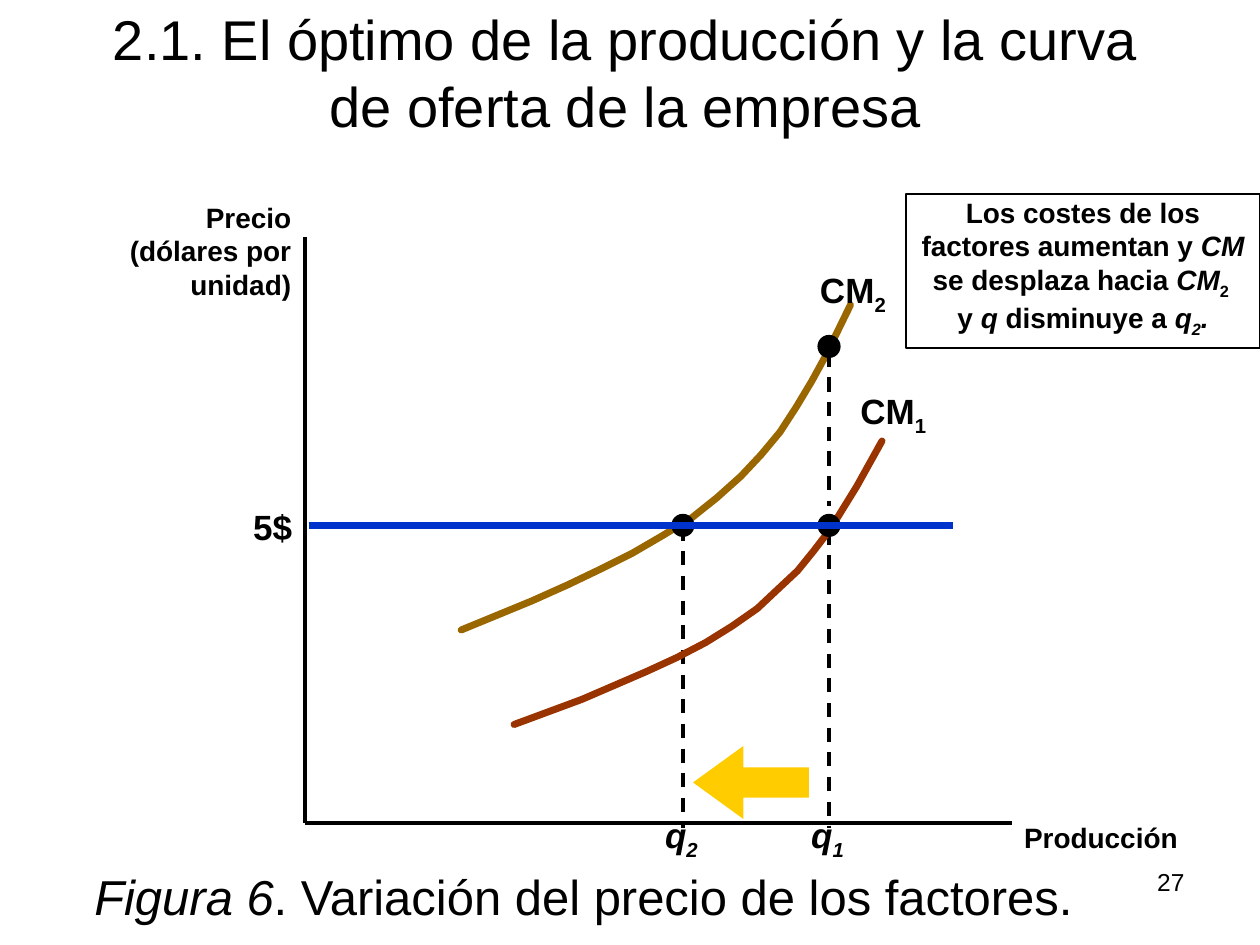
import pptx
import pptx.util
import pptx.dml.color
import pptx.enum.dml
import pptx.enum.shapes
import pptx.enum.text
import pptx.oxml.ns
import lxml.etree

COLORS = {"ink": "000000", "old_cost": "993300", "new_cost": "996600",
          "price": "0033CC", "arrow": "FFCC00"}
FONT = "Arial"
ALIGN = pptx.enum.text.PP_ALIGN
ANCHOR = pptx.enum.text.MSO_ANCHOR
SHAPES = pptx.enum.shapes.MSO_SHAPE

# The page is a grid of 100 columns and 75 rows
WIDTH, HEIGHT = pptx.util.Inches(10), pptx.util.Inches(7.5)
COLUMN, ROW = WIDTH / 100, HEIGHT / 75


def point(box, x, y):
    """Grid position x, y counted from the corner of a region."""
    return round((box[0] + x) * COLUMN), round((box[1] + y) * ROW)


def frame(box, x, y, width, height):
    return (*point(box, x, y), round(width * COLUMN), round(height * ROW))


def color(name):
    return pptx.dml.color.RGBColor.from_string(COLORS[name])


def style_line(line, name, points):
    line.color.rgb = color(name)
    line.width = pptx.util.Pt(points)


def write(shape, paragraphs, size, align=ALIGN.LEFT, bold=False,
          margins=(1, 0.5, 1, 0.5), wrap=True, grow=False):
    """Fill a shape with paragraphs of (text, style); i is italic, s subscript."""
    text = shape.text_frame
    text.word_wrap = wrap
    sizes = pptx.enum.text.MSO_AUTO_SIZE
    text.auto_size = sizes.SHAPE_TO_FIT_TEXT if grow else sizes.NONE
    text.vertical_anchor = ANCHOR.TOP
    text.margin_left, text.margin_right = (round(m * COLUMN) for m in margins[::2])
    text.margin_top, text.margin_bottom = (round(m * ROW) for m in margins[1::2])
    for index, pieces in enumerate(paragraphs):
        para = text.add_paragraph() if index else text.paragraphs[0]
        para.alignment = align
        for words, style in pieces:
            span = para.add_run()
            span.text = words
            span.font.name = FONT
            span.font.size = pptx.util.Pt(size)
            span.font.bold = bold
            span.font.italic = "i" in style
            span.font.color.rgb = color("ink")
            if "s" in style:
                span._r.get_or_add_rPr().set("baseline", "-25000")


def add_label(page, box, place, paragraphs, size, align=ALIGN.LEFT):
    label = page.shapes.add_textbox(*frame(box, *place))
    write(label, paragraphs, size, align, bold=True, wrap=False, grow=True)


def add_line(page, box, start, end, name="ink", points=2, dashed=False):
    line = page.shapes.add_connector(
        pptx.enum.shapes.MSO_CONNECTOR.STRAIGHT, *point(box, *start), *point(box, *end))
    style_line(line.line, name, points)
    if dashed:
        line.line.dash_style = pptx.enum.dml.MSO_LINE.DASH
    lxml.etree.SubElement(line._element.spPr, pptx.oxml.ns.qn("a:effectLst"))


def add_outline(page, box, points, closed):
    corners = [point(box, *spot) for spot in points]
    builder = page.shapes.build_freeform(*corners[0])
    builder.add_line_segments(corners[1:], close=closed)
    outline = builder.convert_to_shape()
    outline.shadow.inherit = False
    return outline


def add_curve(page, box, points, name):
    curve = add_outline(page, box, points, closed=False)
    curve.fill.background()
    style_line(curve.line, name, 4)
    stroke = curve.line._get_or_add_ln()
    stroke.set("cap", "rnd")
    lxml.etree.SubElement(stroke, pptx.oxml.ns.qn("a:round"))


def add_dot(page, box, x, y, size=1.7):
    dot = page.shapes.add_shape(
        SHAPES.OVAL, *frame(box, x - size / 2, y - size / 2, size, size))
    dot.shadow.inherit = False
    dot.fill.solid()
    dot.fill.fore_color.rgb = color("ink")
    style_line(dot.line, "ink", 1)


def add_title(page, box):
    title = page.shapes.title
    title.left, title.top, title.width, title.height = frame(box, 0, 0, *box[2:])
    heading = "2.1. El óptimo de la producción y la curva de oferta de la empresa"
    write(title, [[(heading, "")]], 32, ALIGN.CENTER)
    title.text_frame.vertical_anchor = ANCHOR.BOTTOM


def add_graph(page, box):
    width, height = box[2:]
    q2, q1, price, high = 30, 41.6, 22.9, 8.7
    new_cost = [(12.4, 31.2), (18, 28.9), (20.9, 27.6), (23.4, 26.4), (26, 25.1),
                (28.4, 23.7), (30.7, 22.3), (32.7, 20.7), (34.6, 19), (36.2, 17.3),
                (37.7, 15.5), (39, 13.5), (40.2, 11.5), (41.3, 9.5), (43.3, 5.4)]
    old_cost = [(16.6, 38.7), (22, 36.7), (27.1, 34.5), (29.5, 33.4), (31.8, 32.2),
                (33.9, 30.9), (35.9, 29.5), (37.5, 28), (39.1, 26.5), (40.4, 24.9),
                (41.7, 23.2), (43.8, 19.8), (45.8, 16.2)]

    # Drop lines, cost curves and their crossings
    add_curve(page, box, new_cost, "new_cost")
    for x, top, bottom in ((q2, 23, 46.9), (q1, 9.2, 21.4), (q1, 23.3, 46.9)):
        add_line(page, box, (x, top), (x, bottom), dashed=True)
    add_curve(page, box, old_cost, "old_cost")
    for x, y in ((q2, price), (q1, high), (q1, price)):
        add_dot(page, box, x, y)

    # Arrow from the first quantity to the second
    arrow = add_outline(page, box, [
        (34.8, 40.4), (34.8, 42.1), (40, 42.1), (40, 44.5),
        (34.8, 44.5), (34.8, 46.2), (30.8, 43.3)], closed=True)
    arrow.fill.solid()
    arrow.fill.fore_color.rgb = color("arrow")
    arrow.line.fill.background()

    # Axes and price line
    add_line(page, box, (0, 0), (0, height))
    add_line(page, box, (0, height), (width, height))
    add_line(page, box, (0.3, price), (51.4, price), "price", 4)

    # Labels of curves, quantities and axes
    for x, y, number in ((39.9, 2, "2"), (43.1, 11.6, "1")):
        add_label(page, box, (x, y, 7.3, 4.3), [[("CM", ""), (number, "s")]], 20)
    for x, number in ((q2, "2"), (q1, "1")):
        add_label(page, box, (x - 2.4, 45.3, 4.7, 4.3), [[("q", "i"), (number, "is")]], 20)
    add_label(page, box, (-5.1, 20.8, 5.1, 4.3), [[("5$", "")]], 20)
    add_label(page, box, (-14.9, -3.4, 14.8, 9),
              [[("Precio", "")], [("(dólares por", "")], [("unidad)", "")]],
              16, ALIGN.RIGHT)
    add_label(page, box, (width, 45.8, 14.2, 3.6), [[("Producción", "")]], 16)


def add_note(page, box):
    note = page.shapes.add_shape(SHAPES.RECTANGLE, *frame(box, 0, 0, *box[2:]))
    note.shadow.inherit = False
    note.fill.background()
    style_line(note.line, "ink", 1)
    write(note, [
        [("Los costes de los", "")],
        [("factores aumentan y ", ""), ("CM ", "i"), ("se desplaza hacia ", ""),
         ("CM", "i"), ("2 ", "s")],
        [("y ", ""), ("q ", "i"), ("disminuye a ", ""), ("q", "i"), ("2", "is"), (".", "i")],
    ], 16, ALIGN.CENTER, bold=True, margins=(0.6, 0.1, 0.6, 1.3), grow=True)


def add_footer(page, box):
    caption = page.shapes.add_textbox(*frame(box, 0, 0, 89.6, box[3]))
    write(caption, [[("Figura 6", "i"), (". Variación del precio de los factores.", "")]],
          28, ALIGN.CENTER)
    number = page.shapes.add_textbox(*frame(box, box[2] - 23.3, 0, 23.3, box[3]))
    write(number, [[("27", "")]], 14, ALIGN.RIGHT)


def main():
    deck = pptx.Presentation()
    deck.slide_width, deck.slide_height = WIDTH, HEIGHT
    page = deck.slides.add_slide(deck.slide_layouts[5])
    # Regions: left column, top row, columns wide, rows high
    add_title(page, (6, 3, 87.3, 8.5))
    add_footer(page, (1.5, 68.3, 93.5, 5.2))
    add_note(page, (71.9, 15.4, 28.1, 12.2))
    add_graph(page, (24.2, 18.8, 56.1, 46.5))
    deck.save("out.pptx")


if __name__ == "__main__":
    main()
